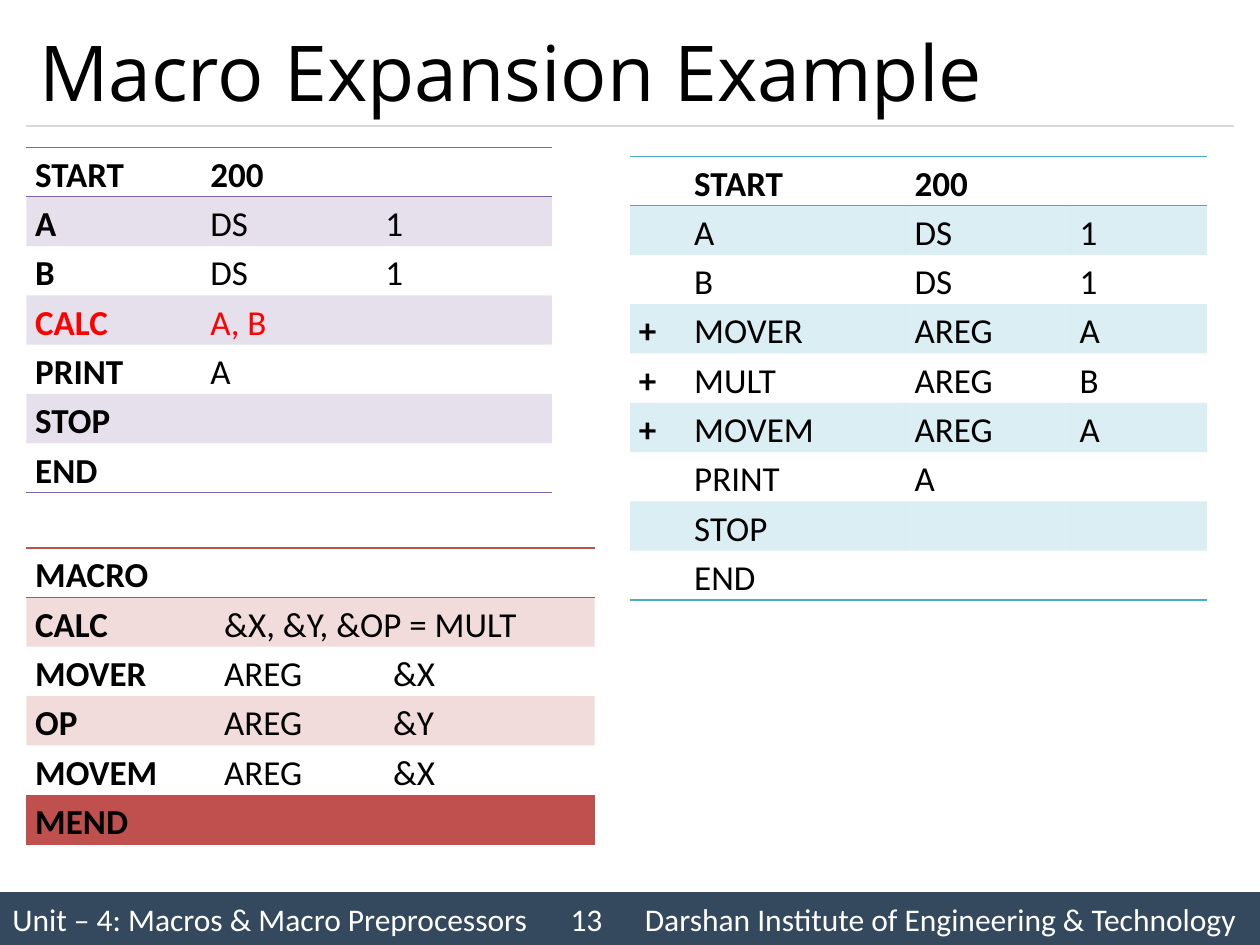
from lxml import etree
from pptx import Presentation
from pptx.dml import color as dml
from pptx.enum import shapes, text
from pptx.oxml import ns
from pptx.util import Inches, Pt

NO_STYLE = "{2D5ABB26-0587-4C30-8999-92F81FD0307C}"
ROW_HEIGHT = 0.39
BLACK, WHITE, RED = "000000", "FFFFFF", "FF0000"
PURPLE, BRICK, TEAL = "8064A2", "C0504D", "4BACC6"

SOURCE = [
    ["START", "200", ""],
    ["A", "DS", "1"],
    ["B", "DS", "1"],
    ["CALC", "A, B", ""],
    ["PRINT", "A", ""],
    ["STOP", "", ""],
    ["END", "", ""],
]
MACRO = [
    ["MACRO", "", ""],
    ["CALC", "&X, &Y, &OP = MULT", ""],
    ["MOVER", "AREG", "&X"],
    ["OP", "AREG", "&Y"],
    ["MOVEM", "AREG", "&X"],
    ["MEND", "", ""],
]
EXPANDED = [
    ["", "START", "200", ""],
    ["", "A", "DS", "1"],
    ["", "B", "DS", "1"],
    ["+", "MOVER", "AREG", "A"],
    ["+", "MULT", "AREG", "B"],
    ["+", "MOVEM", "AREG", "A"],
    ["", "PRINT", "A", ""],
    ["", "STOP", "", ""],
    ["", "END", "", ""],
]


def rgb(value):
    return dml.RGBColor.from_string(value)


def set_font(para, name, size, color, bold=False):
    para.font.name = name
    para.font.size = Pt(size)
    para.font.bold = bold
    para.font.color.rgb = rgb(color)


def add_child(parent, tag, **attributes):
    return etree.SubElement(parent, ns.qn(tag), attributes)


def add_border(cell, side, color):
    line = add_child(cell._tc.get_or_add_tcPr(), f"a:ln{side}", w=str(Pt(1)))
    add_child(add_child(line, "a:solidFill"), "a:srgbClr", val=color)


def fill_cell(cell, color, banded):
    if not banded:
        cell.fill.background()
        return
    cell.fill.solid()
    cell.fill.fore_color.rgb = rgb(color)
    tint = cell._tc.tcPr.find(".//" + ns.qn("a:srgbClr"))
    add_child(tint, "a:alpha", val="20000")


def write_cell(cell, words, color, bold):
    cell.margin_left = cell.margin_right = Inches(0.07)
    cell.margin_top = cell.margin_bottom = 0
    para = cell.text_frame.paragraphs[0]
    para.text = words
    para.alignment = text.PP_ALIGN.JUSTIFY
    para.line_spacing = 1.15
    set_font(para, "Calibri", 20, color, bold)


def add_code_table(page, left, top, widths, rows, accent, red_row=None):
    frame = page.shapes.add_table(
        len(rows), len(widths), Inches(left), Inches(top),
        Inches(sum(widths)), Inches(ROW_HEIGHT * len(rows)))
    table = frame.table
    table._tbl.tblPr.find(ns.qn("a:tableStyleId")).text = NO_STYLE
    table.first_row = table.horz_banding = False
    for column, width in zip(table.columns, widths):
        column.width = Inches(width)
    for r, words in enumerate(rows):
        table.rows[r].height = Inches(ROW_HEIGHT)
        for c, word in enumerate(words):
            cell = table.cell(r, c)
            ink = RED if r == red_row else BLACK
            write_cell(cell, word, ink, r == 0 or c == 0)
            if r == 0:
                add_border(cell, "T", accent)
            if r in (0, len(rows) - 1):
                add_border(cell, "B", accent)
            fill_cell(cell, accent, r % 2 == 1)
    return table


def add_title(page, words):
    title = page.shapes.title
    title.left, title.top = Inches(0.21), Inches(0.12)
    title.width, title.height = Inches(9.58), Inches(0.88)
    title.text_frame.auto_size = text.MSO_AUTO_SIZE.NONE
    title.text_frame.vertical_anchor = text.MSO_ANCHOR.MIDDLE
    para = title.text_frame.paragraphs[0]
    para.text = words
    para.alignment = text.PP_ALIGN.LEFT
    set_font(para, "Open Sans", 44, BLACK)


def add_rule(page):
    rule = page.shapes.add_connector(
        shapes.MSO_CONNECTOR.STRAIGHT,
        Inches(0.21), Inches(1), Inches(9.79), Inches(1))
    rule.line.color.rgb = rgb("D9D9D9")
    rule.line.width = Pt(0.75)
    add_child(rule._element.spPr, "a:effectLst")


def add_footer(page, parts, stops):
    bar = page.shapes.add_shape(
        shapes.MSO_SHAPE.RECTANGLE, 0, Inches(7.08), Inches(10), Inches(0.42))
    bar.shadow.inherit = False
    bar.fill.solid()
    bar.fill.fore_color.rgb = rgb("34495E")
    bar.line.fill.background()
    bar.text_frame.vertical_anchor = text.MSO_ANCHOR.MIDDLE
    para = bar.text_frame.paragraphs[0]
    para.text = "\t".join(parts)
    para.alignment = text.PP_ALIGN.LEFT
    tabs = add_child(para._p.get_or_add_pPr(), "a:tabLst")
    for stop in stops:
        add_child(tabs, "a:tab", pos=str(Inches(stop)), algn="l")
    set_font(para, "Calibri", 18, WHITE)


def main():
    deck = Presentation()
    deck.slide_width, deck.slide_height = Inches(10), Inches(7.5)
    page = deck.slides.add_slide(deck.slide_layouts[5])
    add_footer(page, ["Unit – 4: Macros & Macro Preprocessors", "13",
                      "Darshan Institute of Engineering & Technology"],
               [4.43, 5.02])
    add_rule(page)
    add_title(page, "Macro Expansion Example")
    add_code_table(page, 0.21, 1.17, [1.39] * 3, SOURCE, PURPLE, red_row=3)
    macro = add_code_table(page, 0.21, 4.35, [1.5, 1.34, 1.67], MACRO, BRICK)
    macro.cell(0, 0).merge(macro.cell(0, 2))
    macro.cell(1, 1).merge(macro.cell(1, 2))
    add_code_table(page, 5, 1.24, [0.44, 1.75, 1.31, 1.08], EXPANDED, TEAL)
    deck.save("out.pptx")


if __name__ == "__main__":
    main()
